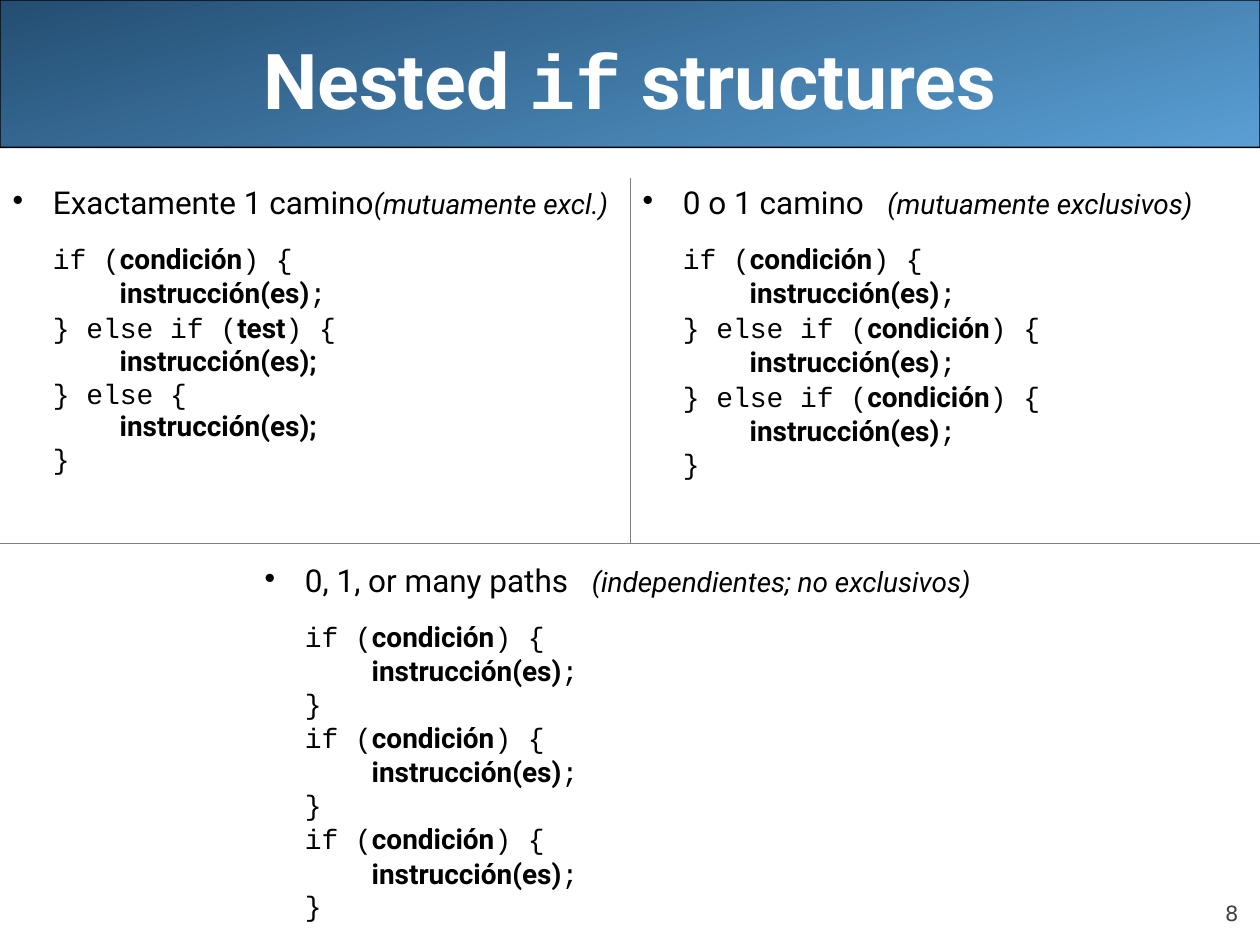
from lxml import etree
from pptx import Presentation
from pptx.dml.color import RGBColor
from pptx.enum.shapes import MSO_SHAPE
from pptx.enum.text import MSO_ANCHOR, MSO_AUTO_SIZE, PP_ALIGN
from pptx.oxml.ns import qn
from pptx.util import Inches, Pt

ROUNDED = MSO_SHAPE.ROUNDED_RECTANGLE
CENTER, RIGHT = PP_ALIGN.CENTER, PP_ALIGN.RIGHT
MIDDLE, BOTTOM = MSO_ANCHOR.MIDDLE, MSO_ANCHOR.BOTTOM
NO_AUTOFIT = MSO_AUTO_SIZE.NONE

SANS, MONO = "Roboto", "Courier New"
BLACK, WHITE, GRID = "000000", "FFFFFF", "808080"
TITLE = {"name": SANS, "size": Pt(44), "bold": True}
HEADING = {"name": SANS, "size": Pt(18), "bold": False}
REMARK = {"name": SANS, "size": Pt(16), "bold": False, "italic": True}
CODE = {"name": MONO, "size": Pt(16), "bold": False}
SLOT = {"name": SANS, "size": Pt(16), "bold": True}
NUMBER = {"name": "DejaVu Sans", "size": Pt(12), "bold": False}

# Asterisks enclose the parts of a code line that stand for the reader's own code.
IF = "if (*condición*) {"
ELSE_IF = "} else if (*condición*) {"
BODY = "*instrucción(es)*;"
BODY_BOLD = "*instrucción(es);*"
END = "}"


def rgb(hex_color):
    return RGBColor.from_string(hex_color)


def set_values(target, values):
    for attribute, value in values.items():
        setattr(target, attribute, value)


def add_run(paragraph, text, style, color=BLACK):
    run = paragraph.add_run()
    run.text = text
    set_values(run.font, style)
    run.font.color.rgb = rgb(color)
    return run


def set_indent(paragraph, left, first=0):
    properties = paragraph._p.get_or_add_pPr()
    properties.set("marL", str(Inches(left)))
    properties.set("indent", str(Inches(first)))
    return properties


def add_border(cell, side):
    line = etree.SubElement(cell._tc.get_or_add_tcPr(), qn(f"a:ln{side}"),
                            w=str(Pt(0.23)))
    fill = etree.SubElement(line, qn("a:solidFill"))
    etree.SubElement(fill, qn("a:srgbClr"), val=GRID)


class NestedIfSlide:
    hang = 0.32
    body_indent = 0.53
    code_spacing = {"line_spacing": 0.8, "space_before": Pt(4)}
    first_code_gap = Pt(14.5)

    def __init__(self, presentation):
        self.slide = presentation.slides.add_slide(presentation.slide_layouts[5])
        self.shapes = self.slide.shapes

    def banner(self, width, height):
        band = self.shapes.add_shape(ROUNDED, 0, 0, Inches(width), Inches(height))
        band.adjustments[0] = 0.001
        band.shadow.inherit = False
        band.fill.gradient()
        band.fill.gradient_angle = 105
        for stop, color in zip(band.fill.gradient_stops, ("5A9FD4", "244E72")):
            stop.color.rgb = rgb(color)
        band.line.color.rgb = rgb(BLACK)
        band.line.width = Pt(0.75)
        # The title placeholder already exists, so the band goes behind it.
        self.shapes._spTree.insert(2, band._element)

    def title(self, parts, left, top, width, height):
        heading = self.shapes.title
        set_values(heading, {"left": Inches(left), "top": Inches(top),
                             "width": Inches(width), "height": Inches(height)})
        set_values(heading.text_frame, {"vertical_anchor": MIDDLE,
                                        "word_wrap": True, "auto_size": NO_AUTOFIT})
        paragraph = heading.text_frame.paragraphs[0]
        paragraph.alignment = CENTER
        for text, font in parts:
            add_run(paragraph, text, {**TITLE, "name": font}, WHITE)

    def page_number(self, text, left, top, width, height):
        box = self.shapes.add_textbox(Inches(left), Inches(top),
                                      Inches(width), Inches(height))
        set_values(box.text_frame, {"margin_left": 0, "margin_right": 0,
                                    "margin_top": 0, "margin_bottom": 0,
                                    "vertical_anchor": BOTTOM, "word_wrap": True})
        paragraph = box.text_frame.paragraphs[0]
        paragraph.alignment = RIGHT
        add_run(paragraph, text, NUMBER, "424242")

    def grid(self, top, column_width, row_heights):
        """Add a two-column table whose second row is one merged cell."""
        table = self.shapes.add_table(
            2, 2, 0, Inches(top), Inches(2 * column_width),
            Inches(sum(row_heights))).table
        set_values(table, {"first_row": False, "horz_banding": False})
        for column in table.columns:
            column.width = Inches(column_width)
        for row, height in zip(table.rows, row_heights):
            row.height = Inches(height)
        table.cell(1, 0).merge(table.cell(1, 1))
        for row, column, sides in ((0, 0, "RB"), (0, 1, "LB"), (1, 0, "T"), (1, 1, "T")):
            cell = table.cell(row, column)
            for side in sides:
                add_border(cell, side)
            cell.fill.background()
        return table

    def case(self, cell, heading, remark, code, offset=0, margin_top=0.05):
        """Fill a cell with a bulleted heading and the code that belongs to it."""
        cell.margin_top = Inches(margin_top)
        frame = cell.text_frame
        left = offset + self.hang
        self.case_heading(frame.paragraphs[0], heading, remark, left)
        for index, line in enumerate(code):
            paragraph = frame.add_paragraph()
            set_values(paragraph, self.code_spacing)
            if index == 0:
                paragraph.space_before = self.first_code_gap
            is_body = line in (BODY, BODY_BOLD)
            set_indent(paragraph, left + self.body_indent * is_body)
            for position, text in enumerate(line.split("*")):
                if text:
                    add_run(paragraph, text, SLOT if position % 2 else CODE)

    def case_heading(self, paragraph, heading, remark, left):
        paragraph.space_before = Pt(4)
        properties = set_indent(paragraph, left, -self.hang)
        bullet_color = etree.SubElement(properties, qn("a:buClr"))
        etree.SubElement(bullet_color, qn("a:srgbClr"), val=BLACK)
        etree.SubElement(properties, qn("a:buChar"), char="•")
        add_run(paragraph, heading.rstrip(), HEADING)
        if heading.endswith(" "):
            gap = add_run(paragraph, " ", HEADING)
            gap.font._element.set("spc", "890")  # widens the single space
        add_run(paragraph, remark, REMARK)


def main():
    presentation = Presentation()
    presentation.slide_width, presentation.slide_height = Inches(10), Inches(7.5)

    page = NestedIfSlide(presentation)
    page.banner(10, 1.17)
    page.title([("Nested ", SANS), ("if", MONO), (" structures", SANS)],
               0.5, 0, 9, 1.25)
    page.page_number("8", 9, 6.95, 0.83, 0.4)

    table = page.grid(1.42, 5, (2.89, 3.27))
    page.case(table.cell(0, 0), "Exactamente 1 camino", "(mutuamente excl.)",
              [IF, BODY, "} else if (*test*) {", BODY_BOLD, "} else {", BODY_BOLD, END])
    page.case(table.cell(0, 1), "0 o 1 camino ", "(mutuamente exclusivos)",
              [IF, BODY, ELSE_IF, BODY, ELSE_IF, BODY, END])
    page.case(table.cell(1, 0), "0, 1, or many paths ",
              "(independientes; no exclusivos)", [IF, BODY, END] * 3,
              offset=2, margin_top=0.16)
    presentation.save("out.pptx")


if __name__ == "__main__":
    main()
